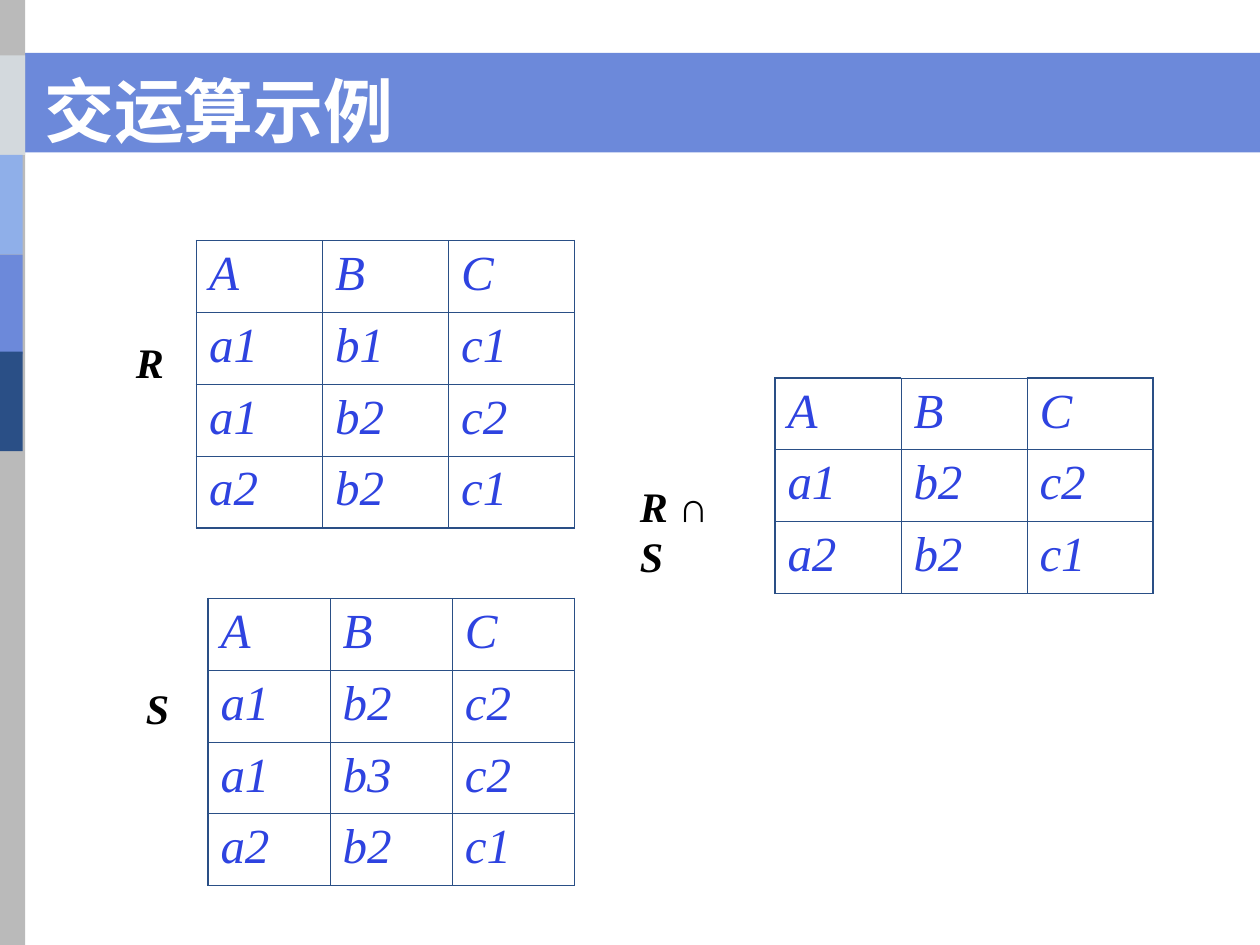
import pptx
import pptx.dml.color
import pptx.enum.shapes
import pptx.enum.text
import pptx.oxml
import pptx.oxml.ns
import pptx.util
from pptx.util import Inches

ANCHOR = pptx.enum.text.MSO_ANCHOR
CELL = {"size": pptx.util.Pt(28), "name": "Times New Roman", "italic": True, "bold": False}
LABEL = {"size": pptx.util.Pt(24), "name": "Times New Roman", "italic": True, "bold": True}
TITLE = {"size": pptx.util.Pt(40), "name": "DejaVu Sans", "bold": True}


def rgb(value):
    return pptx.dml.color.RGBColor.from_string(value)


class Deck:
    """Hold the style and the current slide, and draw each kind of element."""

    border, thin, thick = "2A4F86", 0.45, 1.08
    cell_color, label_color, title_color = "2E43E0", "000000", "FFFFFF"

    def __init__(self):
        self.prs = pptx.Presentation()
        self.prs.slide_width, self.prs.slide_height = Inches(10), Inches(7.5)
        self.s = self.prs.slides.add_slide(self.prs.slide_layouts[5])

    def format(self, font, values, color):
        for key, value in values.items():
            setattr(font, key, value)
        font.color.rgb = rgb(color)

    def bar(self, x, y, w, h, color):
        sp = self.s.shapes.add_shape(pptx.enum.shapes.MSO_SHAPE.RECTANGLE,
                                     Inches(x), Inches(y), Inches(w), Inches(h))
        sp.shadow.inherit = False
        sp.fill.solid()
        sp.fill.fore_color.rgb = rgb(color)
        sp.line.fill.background()

    def title(self, text, x, y, w, h):
        sp = self.s.shapes.title
        sp.left, sp.top, sp.width, sp.height = map(Inches, (x, y, w, h))
        sp.element.getparent().append(sp.element)
        tf = sp.text_frame
        tf.auto_size = pptx.enum.text.MSO_AUTO_SIZE.NONE
        tf.vertical_anchor = ANCHOR.BOTTOM
        p = tf.paragraphs[0]
        p.alignment = pptx.enum.text.PP_ALIGN.LEFT
        r = p.add_run()
        r.text = text
        self.format(r.font, TITLE, self.title_color)

    def edge(self, cell, side, width):
        ns = pptx.oxml.ns.nsdecls("a")
        cell.fill.background()
        line = pptx.oxml.parse_xml(
            f'<a:ln{side} {ns} w="{int(pptx.util.Pt(width))}"><a:solidFill>'
            f'<a:srgbClr val="{self.border}"/></a:solidFill></a:ln{side}>')
        tc_pr = cell._tc.get_or_add_tcPr()
        tc_pr.insert(len(tc_pr) - 1, line)

    def table(self, x, y, col_w, row_h, rows):
        n, m = len(rows), len(rows[0])
        tbl = self.s.shapes.add_table(n, m, Inches(x), Inches(y),
                                      Inches(col_w * m), Inches(row_h * n)).table
        tbl.first_row = tbl.horz_banding = False
        for col in tbl.columns:
            col.width = Inches(col_w)
        for i, row in enumerate(rows):
            tbl.rows[i].height = Inches(row_h)
            for j, text in enumerate(row):
                cell = tbl.cell(i, j)
                p = cell.text_frame.paragraphs[0]
                r = p.add_run()
                r.text = text
                self.format(r.font, CELL, self.cell_color)
                outer = {"L": j == 0, "R": j == m - 1,
                         "T": i == 0 and j in (0, m - 1), "B": i == n - 1}
                for side, is_outer in outer.items():
                    self.edge(cell, side, self.thick if is_outer else self.thin)

    def label(self, x, y, w, h, parts):
        sp = self.s.shapes.add_textbox(Inches(x), Inches(y), Inches(w), Inches(h))
        tf = sp.text_frame
        tf.word_wrap = False
        tf.vertical_anchor = ANCHOR.MIDDLE
        for text in parts:
            r = tf.paragraphs[0].add_run()
            r.text = text
            self.format(r.font, {**LABEL, "italic": text != "∩"}, self.label_color)


def main():
    deck = Deck()
    deck.bar(0, 0.42, 10, 0.79, "6C89DA")
    deck.bar(-0.01, 0, 0.21, 7.5, "BABABA")
    deck.bar(0, 0.44, 0.2, 0.79, "D3D9DD")
    for y, color in ((1.23, "8FAFE9"), (2.02, "6C89DA"), (2.79, "2A4F86")):
        deck.bar(-0.02, y, 0.2, 0.79, color)
    deck.title("交运算示例", 0.25, 0.5, 6.25, 0.75)

    head = ["A", "B", "C"]
    r_rows = [["a1", "b1", "c1"], ["a1", "b2", "c2"], ["a2", "b2", "c1"]]
    s_rows = [["a1", "b2", "c2"], ["a1", "b3", "c2"], ["a2", "b2", "c1"]]
    common = [row for row in r_rows if row in s_rows]
    for x, y, col_w, rows in ((1.56, 1.91, 1, r_rows), (6.15, 3, 1, common),
                              (1.65, 4.75, 0.97, s_rows)):
        deck.table(x, y, col_w, 0.57, [head] + rows)

    for x, y, w, parts in ((0.98, 2.41, 0.33, ["R"]), (1.06, 5.16, 0.33, ["S"]),
                           (4.98, 3.75, 0.92, ["R ", "∩", " S"])):
        deck.label(x, y, w, 0.92, parts)
    deck.prs.save("out.pptx")


if __name__ == "__main__":
    main()
